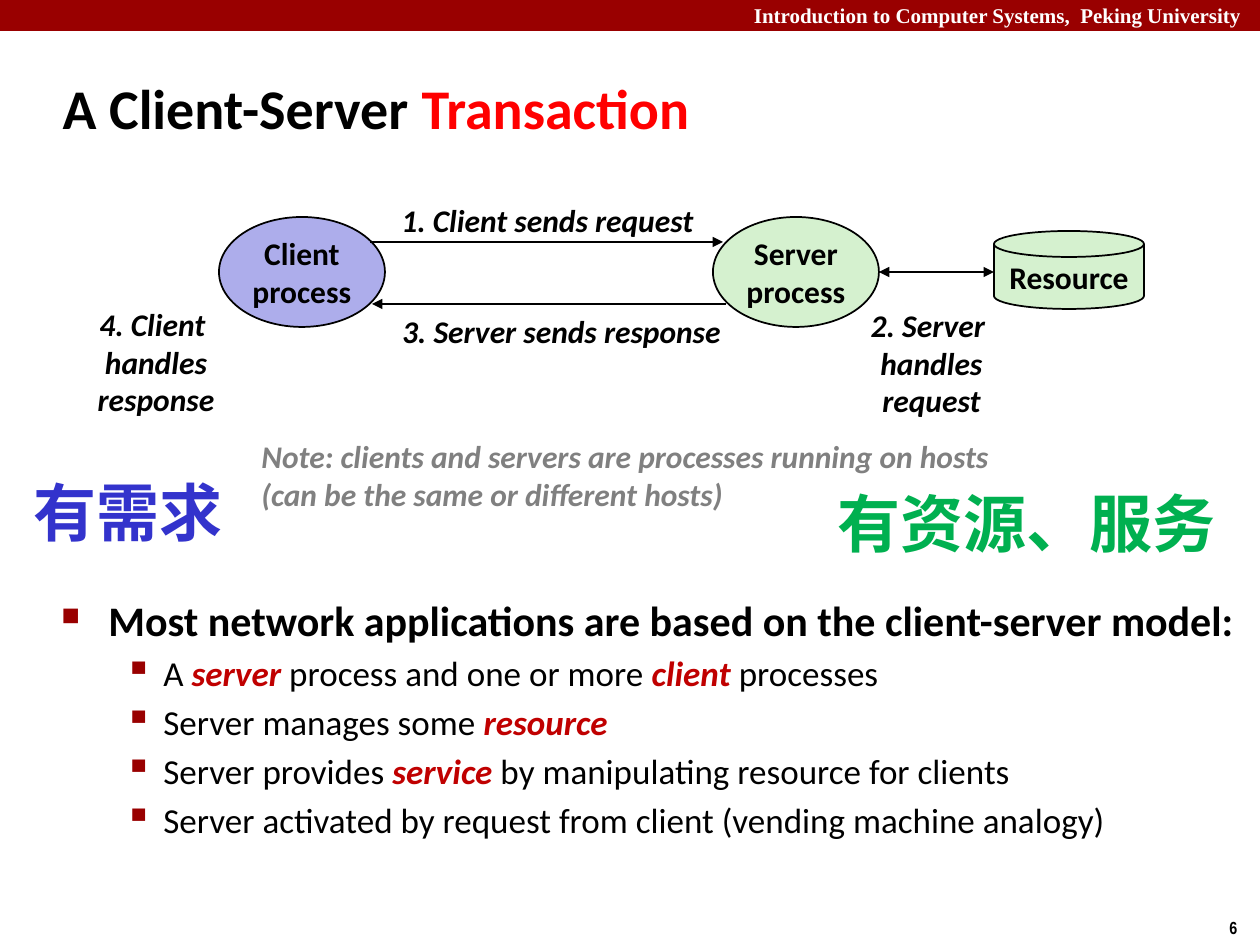
from dataclasses import dataclass

from lxml import etree
from pptx import Presentation
from pptx import util as u
from pptx.dml.color import RGBColor
from pptx.enum import shapes, text
from pptx.oxml import ns

PX = u.Inches(1) / 126
COLORS = {
    "black": "000000", "white": "FFFFFF", "maroon": "990000", "red": "FF0000",
    "crimson": "C00000", "gray": "808080", "lilac": "ADADEB", "mint": "D5F1CF",
    "green": "00B050", "blue": "3333CC",
}
ALIGN = text.PP_ALIGN
ANCHOR = text.MSO_ANCHOR


@dataclass(frozen=True)
class Box:
    x: int
    y: int
    w: int
    h: int

    def emu(self) -> list[int]:
        return [px(v) for v in (self.x, self.y, self.w, self.h)]


@dataclass(frozen=True)
class Style:
    size: int = 18
    color: str = "black"
    bold: bool = True
    italic: bool = False
    font: str = "Calibri"


@dataclass(frozen=True)
class Label:
    box: Box
    lines: str
    style: Style
    align: ALIGN = ALIGN.LEFT
    anchor: ANCHOR = ANCHOR.TOP
    wrap: bool = False


@dataclass(frozen=True)
class Node:
    kind: shapes.MSO_SHAPE
    box: Box
    lines: str
    fill: str


@dataclass(frozen=True)
class Arrow:
    start: tuple[int, int]
    end: tuple[int, int]
    both: bool = False


@dataclass(frozen=True)
class Bullet:
    char: str
    scale: int
    margin: int
    hang: int
    space: float


NODE = Style()
STEP = Style(italic=True)
NOTE = Style(color="gray", italic=True)
HEADING = Style(size=24)
ITEM = Style(size=20, bold=False)
TERM = Style(size=20, color="crimson", italic=True)
CJK = "Noto Sans CJK SC"
TOP_BULLET = Bullet("■", 60, 47, 47, 4.8)
SUB_BULLET = Bullet("▪", 110, 102, 39, 4)

CLIENT = Node(shapes.MSO_SHAPE.OVAL, Box(219, 217, 166, 110), "Client\nprocess", "lilac")
SERVER = Node(shapes.MSO_SHAPE.OVAL, Box(713, 217, 166, 110), "Server\nprocess", "mint")
RESOURCE = Node(shapes.MSO_SHAPE.FLOWCHART_MAGNETIC_DISK, Box(994, 231, 150, 78), "Resource", "mint")

REQUEST = Arrow((370, 242), (723, 242))
RESPONSE = Arrow((726, 304), (372, 304))
ACCESS = Arrow((879, 272), (994, 272), both=True)

STEPS = [
    Label(Box(x, y, w, h), lines, STEP, ALIGN.CENTER, ANCHOR.MIDDLE)
    for x, y, w, h, lines in [
        (387, 194, 321, 51, "1. Client sends request"),
        (857, 299, 149, 127, "2. Server \nhandles\nrequest"),
        (387, 305, 349, 51, "3. Server sends response"),
        (84, 298, 144, 127, "4. Client \nhandles\nresponse"),
    ]
]
REMARKS = [
    Label(Box(249, 431, 770, 89),
          "Note: clients and servers are processes running on hosts\n"
          "(can be the same or different hosts)", NOTE),
    Label(Box(825, 478, 425, 89), "有资源、服务", Style(36, "green", font=CJK), wrap=True),
    Label(Box(21, 467, 249, 89), "有需求", Style(36, "blue", font=CJK), wrap=True),
]
FRAME = [
    Label(Box(598, -4, 661, 38), "Introduction to Computer Systems,  Peking University ",
          Style(12, "white", font="Times New Roman"), ALIGN.RIGHT, wrap=True),
    Label(Box(1217, 911, 43, 34), "6", Style(10, font="Arial Narrow")),
]
POINTS = [
    (TOP_BULLET, [("Most network applications are based on the client-server model:", HEADING)]),
    (SUB_BULLET, [("A ", ITEM), ("server", TERM), (" process and one or more ", ITEM),
                  ("client ", TERM), ("processes", ITEM)]),
    (SUB_BULLET, [("Server manages some ", ITEM), ("resource", TERM)]),
    (SUB_BULLET, [("Server provides ", ITEM), ("service", TERM),
                  (" by manipulating resource for clients", ITEM)]),
    (SUB_BULLET, [("Server activated by request from client (vending machine analogy)", ITEM)]),
]


def px(value: int) -> int:
    return round(value * PX)


def rgb(name: str) -> RGBColor:
    return RGBColor.from_string(COLORS[name])


def sub(parent, tag: str, **attrs: str):
    return etree.SubElement(parent, ns.qn(tag), attrs)


def format_run(r, style: Style) -> None:
    r.font.size = u.Pt(style.size)
    r.font.bold = style.bold
    r.font.italic = style.italic
    r.font.name = style.font
    r.font.color.rgb = rgb(style.color)
    if style.font == CJK:
        sub(r._r.get_or_add_rPr(), "a:ea", typeface=CJK)


def fill_text(tf, lines: str, style: Style, align: ALIGN, anchor: ANCHOR, wrap: bool) -> None:
    tf.text = lines
    tf.word_wrap = wrap
    tf.vertical_anchor = anchor
    for p in tf.paragraphs:
        p.alignment = align
        for r in p.runs:
            format_run(r, style)


def add_label(s, label: Label) -> None:
    tf = s.shapes.add_textbox(*label.box.emu()).text_frame
    fill_text(tf, label.lines, label.style, label.align, label.anchor, label.wrap)


def add_node(s, node: Node) -> None:
    sp = s.shapes.add_shape(node.kind, *node.box.emu())
    sp.shadow.inherit = False
    sp.fill.solid()
    sp.fill.fore_color.rgb = rgb(node.fill)
    sp.line.color.rgb = rgb("black")
    sp.line.width = u.Pt(1)
    fill_text(sp.text_frame, node.lines, NODE, ALIGN.CENTER, ANCHOR.MIDDLE, False)


def add_arrow(s, arrow: Arrow) -> None:
    ends = [px(v) for v in arrow.start + arrow.end]
    cx = s.shapes.add_connector(shapes.MSO_CONNECTOR.STRAIGHT, *ends)
    cx.line.color.rgb = rgb("black")
    cx.line.width = u.Pt(1)
    ln = cx.line._get_or_add_ln()
    for tag in ["a:headEnd", "a:tailEnd"] if arrow.both else ["a:tailEnd"]:
        sub(ln, tag, type="triangle")
    sub(cx._element.spPr, "a:effectLst")


def add_points(s, box: Box) -> None:
    tf = s.shapes.add_textbox(*box.emu()).text_frame
    tf.word_wrap = True
    for i, (bullet, parts) in enumerate(POINTS):
        p = tf.add_paragraph() if i else tf.paragraphs[0]
        p.level = int(bullet is SUB_BULLET)
        p.space_before = u.Pt(bullet.space)
        pPr = p._p.get_or_add_pPr()
        pPr.set("marL", str(px(bullet.margin)))
        pPr.set("indent", str(-px(bullet.hang)))
        sub(sub(pPr, "a:buClr"), "a:srgbClr", val=COLORS["maroon"])
        sub(pPr, "a:buSzPct", val=str(bullet.scale * 1000))
        sub(pPr, "a:buChar", char=bullet.char)
        for words, style in parts:
            r = p.add_run()
            r.text = words
            format_run(r, style)


def add_title(s, box: Box) -> None:
    sp = s.shapes.title
    sp.left, sp.top, sp.width, sp.height = box.emu()
    fill_text(sp.text_frame, "A Client-Server ", Style(32), ALIGN.LEFT, ANCHOR.MIDDLE, True)
    r = sp.text_frame.paragraphs[0].add_run()
    r.text = "Transaction"
    format_run(r, Style(32, "red"))


def add_banner(s, box: Box) -> None:
    sp = s.shapes.add_shape(shapes.MSO_SHAPE.RECTANGLE, *box.emu())
    sp.shadow.inherit = False
    sp.fill.solid()
    sp.fill.fore_color.rgb = rgb("maroon")
    sp.line.fill.background()


def main() -> None:
    prs = Presentation()
    prs.slide_width, prs.slide_height = px(1260), px(945)
    s = prs.slides.add_slide(prs.slide_layouts[5])
    add_banner(s, Box(0, 0, 1260, 31))
    add_title(s, Box(50, 68, 1210, 79))
    for node in (CLIENT, SERVER, RESOURCE):
        add_node(s, node)
    for arrow in (REQUEST, RESPONSE, ACCESS):
        add_arrow(s, arrow)
    for label in FRAME + STEPS + REMARKS:
        add_label(s, label)
    add_points(s, Box(49, 588, 1200, 284))
    prs.save("out.pptx")


if __name__ == "__main__":
    main()
